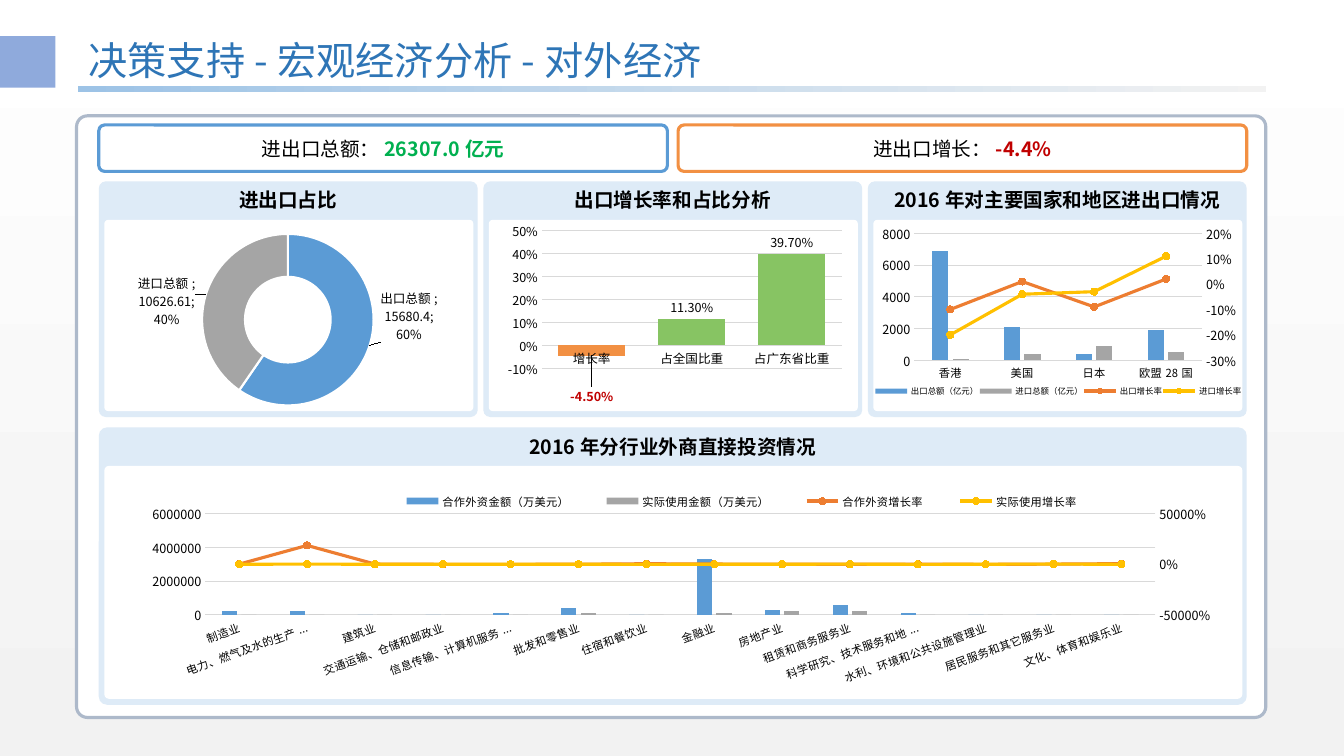
"""Build the foreign-trade dashboard slide."""
from dataclasses import dataclass
from typing import Any, NamedTuple, Optional

import pptx
import pptx.chart.axis
import pptx.chart.data
import pptx.dml.color
import pptx.enum.chart
import pptx.enum.shapes
import pptx.enum.text
import pptx.oxml
import pptx.oxml.ns
import pptx.util

Cm, Pt = pptx.util.Cm, pptx.util.Pt
NS = pptx.oxml.ns.nsdecls("c")
CHART_TYPES = pptx.enum.chart.XL_CHART_TYPE


@dataclass(frozen=True)
class Theme:
    font: str = "Noto Sans CJK SC"
    black: str = "000000"
    white: str = "FFFFFF"
    title: str = "2E75B6"
    accent: str = "8FAADC"
    rule: str = "9DC3E6"
    pale: str = "F2F2F2"
    frame: str = "ADB9CA"
    panel: str = "DEEBF7"
    blue: str = "5B9BD5"
    gray: str = "A5A5A5"
    orange: str = "F29043"
    green: str = "87C463"
    rate: str = "ED7D31"
    gold: str = "FFC000"
    grid: str = "D9D9D9"
    gain: str = "00B050"
    loss: str = "C00000"
    title_size: float = 28
    heading_size: float = 14
    chart_size: float = 10
    axis_size: float = 9
    category_size: float = 8
    small_size: float = 6


THEME = Theme()


class Box(NamedTuple):
    left: float
    top: float
    width: float
    height: float


class Metric(NamedTuple):
    label: str
    value: str
    outline: str
    value_color: str


class Panel(NamedTuple):
    heading: str
    box: Box


class Scale(NamedTuple):
    low: float
    high: float
    step: float
    pattern: str = "General"


class Series(NamedTuple):
    name: str
    values: list[float]


class ComboChart(NamedTuple):
    box: Box
    categories: list[str]
    series: list[Series]
    amounts: Scale
    rates: Scale
    plot: Box
    legend: Box
    legend_size: float
    label_angle: int


METRICS = [Metric("进出口总额：", "26307.0亿元", THEME.blue, THEME.gain),
           Metric("进出口增长：", "-4.4%", THEME.orange, THEME.loss)]
TOP_HEADINGS = ["进出口占比", "出口增长率和占比分析", "2016年对主要国家和地区进出口情况"]
PANELS = [Panel(heading, Box(2.49 + 9.69 * column, 4.57, 9.55, 5.94))
          for column, heading in enumerate(TOP_HEADINGS)]
PANELS.append(Panel("2016年分行业外商直接投资情况", Box(2.49, 10.77, 28.93, 6.99)))
COMBOS = [
    ComboChart(Box(22.02, 5.54, 9.3, 4.85), ["香港", "美国", "日本", "欧盟28国"],
               [Series("出口总额（亿元）", [6900, 2100, 400, 1900]),
                Series("进口总额（亿元）", [100, 400, 900, 500]),
                Series("出口增长率", [-0.1, 0.01, -0.09, 0.02]),
                Series("进口增长率", [-0.2, -0.04, -0.03, 0.11])],
               Scale(0, 8000, 2000), Scale(-0.3, 0.2, 0.1, "0%"),
               Box(0.11, 0.07, 0.78, 0.66), Box(0, 0.85, 1, 0.08), THEME.small_size, 0),
    ComboChart(Box(2.92, 11.73, 28.17, 5.79),
               ["制造业", "电力、燃气及水的生产和供应业", "建筑业", "交通运输、仓储和邮政业",
                "信息传输、计算机服务和软件业", "批发和零售业", "住宿和餐饮业", "金融业", "房地产业",
                "租赁和商务服务业", "科学研究、技术服务和地质勘查业", "水利、环境和公共设施管理业",
                "居民服务和其它服务业", "文化、体育和娱乐业"],
               [Series("合作外资金额（万美元）", [200000, 200000, 0, 0, 100000, 400000, 0, 3300000,
                                        300000, 600000, 100000, 0, 0, 0]),
                Series("实际使用金额（万美元）", [0, 0, 0, 0, 0, 100000, 0, 100000,
                                        200000, 200000, 0, 0, 0, 0]),
                Series("合作外资增长率", [1, 186, 2, -1, -1, 0, 5, 2, 0, 0, 1, -1, 1, 6]),
                Series("实际使用增长率", [0, 1, 0, 0, 0, 0, -1, 0, 0, 1, -1, 0, 2, -1])],
               Scale(0, 6000000, 2000000), Scale(-500, 500, 500, "0%"),
               Box(0.08, 0.21, 0.85, 0.44), Box(0.23, 0.11, 0.66, 0.09), THEME.category_size, -20),
]


def rgb(color: str) -> pptx.dml.color.RGBColor:
    return pptx.dml.color.RGBColor.from_string(color)


def paint(fill: Any, color: str) -> None:
    fill.solid()
    fill.fore_color.rgb = rgb(color)


def paint_gradient(fill: Any, colors: tuple[str, str], angle: float) -> None:
    fill.gradient()
    fill.gradient_angle = angle
    for stop, color in zip(fill.gradient_stops, colors):
        stop.color.rgb = rgb(color)


def style_font(font: Any, size: float, color: str = THEME.black, bold: bool = False) -> None:
    font.name, font.size, font.bold = THEME.font, Pt(size), bold
    font.color.rgb = rgb(color)


def write(paragraph: Any, text: str, *, size: float = THEME.heading_size,
          color: str = THEME.black, bold: bool = False) -> None:
    run = paragraph.add_run()
    run.text = text
    style_font(run.font, size, color, bold)


def set_east_asian_font(root: Any) -> None:
    for latin in root.xpath(".//a:latin"):
        latin.addnext(pptx.oxml.parse_xml(
            f'<a:ea {pptx.oxml.ns.nsdecls("a")} typeface="{THEME.font}"/>'))


def add_block(slide: Any, box: Box, fill: str, outline: Optional[str] = None,
              rounding: Optional[float] = None) -> Any:
    kinds = pptx.enum.shapes.MSO_SHAPE
    kind = kinds.RECTANGLE if rounding is None else kinds.ROUNDED_RECTANGLE
    block = slide.shapes.add_shape(kind, *map(Cm, box))
    block.shadow.inherit = False
    paint(block.fill, fill)
    if rounding is not None:
        block.adjustments[0] = rounding
    if outline:
        block.line.color.rgb, block.line.width = rgb(outline), Pt(2.25)
    else:
        block.line.fill.background()
    block.text_frame.paragraphs[0].alignment = pptx.enum.text.PP_ALIGN.CENTER
    return block


def layout_xml(**sizes: Any) -> str:
    parts = "".join(f'<c:{name} val="{value}"/>' for name, value in sizes.items())
    return f"<c:manualLayout>{parts}</c:manualLayout>"


def set_layout(parent: Any, index: int, box: Box) -> None:
    for old in parent.xpath("c:layout"):
        parent.remove(old)
    target = {"layoutTarget": "inner"} if index == 0 else {}
    manual = layout_xml(**target, xMode="edge", yMode="edge",
                        x=box.left, y=box.top, w=box.width, h=box.height)
    parent.insert(index, pptx.oxml.parse_xml(f"<c:layout {NS}>{manual}</c:layout>"))


def move_label(label: Any, x: float, y: float) -> None:
    label.insert(1, pptx.oxml.parse_xml(f"<c:layout {NS}>{layout_xml(x=x, y=y)}</c:layout>"))


def add_chart(slide: Any, kind: Any, box: Box, plot: Box, categories: list[str],
              series: list[Series], pattern: str = "General") -> Any:
    table = pptx.chart.data.CategoryChartData(number_format=pattern)
    table.categories = categories
    for item in series:
        table.add_series(item.name, item.values)
    chart = slide.shapes.add_chart(kind, *map(Cm, box), table).chart
    chart.has_title = chart.has_legend = False
    style_font(chart.font, THEME.chart_size)
    chart.plots[0].vary_by_categories = False
    set_layout(chart.element.xpath(".//c:plotArea")[0], 0, plot)
    return chart


def style_value_axis(axis: Any, scale: Scale, grid: bool) -> None:
    axis.minimum_scale, axis.maximum_scale, axis.major_unit = scale[:3]
    axis.major_tick_mark = axis.minor_tick_mark = pptx.enum.chart.XL_TICK_MARK.NONE
    axis.tick_labels.number_format = scale.pattern
    axis.tick_labels.number_format_is_linked = False
    style_font(axis.tick_labels.font, THEME.axis_size)
    axis.format.line.fill.background()
    axis.has_major_gridlines = grid
    if grid:
        line = axis.major_gridlines.format.line
        line.color.rgb, line.width = rgb(THEME.grid), Pt(0.75)


def style_category_axis(axis: Any, size: float) -> None:
    axis.major_tick_mark = axis.minor_tick_mark = pptx.enum.chart.XL_TICK_MARK.NONE
    style_font(axis.tick_labels.font, size)
    axis.format.line.color.rgb, axis.format.line.width = rgb(THEME.grid), Pt(0.75)


def add_share_chart(slide: Any) -> None:
    chart = add_chart(slide, CHART_TYPES.DOUGHNUT, Box(2.64, 4.67, 9.42, 5.84),
                      Box(0.23, 0.21, 0.52, 0.74), ["出口总额", "进口总额"],
                      [Series("Series 1", [15680.4, 10626.61])])
    shares = chart.plots[0].series[0]
    labels = shares.data_labels
    labels.show_value = labels.show_percentage = labels.show_category_name = True
    style_font(labels.font, THEME.axis_size)
    for index, color in enumerate((THEME.blue, THEME.gray)):
        point = shares.points[index]
        paint(point.format.fill, color)
        point.format.line.color.rgb, point.format.line.width = rgb(THEME.white), Pt(1.5)
        style_font(point.data_label.font, THEME.axis_size)
    size = layout_xml(w=0.17, h=0.25)
    for label, offset in zip(chart.element.xpath(".//c:dLbl"), ((0.16, -0.1), (-0.16, 0))):
        move_label(label, *offset)
        for flag in label.xpath("c:showVal|c:showCatName|c:showPercent"):
            flag.set("val", "1")
        label.append(pptx.oxml.parse_xml(f"<c:separator {NS}>; </c:separator>"))
        label.append(pptx.oxml.parse_xml(
            f'<c:extLst {NS}><c:ext uri="{{CE6537A1-D6FC-4f65-9D91-7224C49458BB}}" '
            'xmlns:c15="http://schemas.microsoft.com/office/drawing/2012/chart">'
            f"<c15:layout>{size}</c15:layout></c:ext></c:extLst>"))
    set_east_asian_font(chart.element)


def add_growth_chart(slide: Any) -> None:
    chart = add_chart(slide, CHART_TYPES.COLUMN_CLUSTERED, Box(12.6, 5.54, 8.79, 4.65),
                      Box(0.12, 0.06, 0.86, 0.76), ["增长率", "占全国比重", "占广东省比重"],
                      [Series("Series 1", [-0.045, 0.113, 0.397])], "0.00%")
    style_value_axis(chart.value_axis, Scale(-0.1, 0.5, 0.1, "0%"), True)
    style_category_axis(chart.category_axis, THEME.axis_size)
    chart.plots[0].gap_width, chart.plots[0].overlap = 50, -27
    growth = chart.plots[0].series[0]
    growth.invert_if_negative = False
    paint(growth.format.fill, THEME.orange)
    for index in (1, 2):
        paint(growth.points[index].format.fill, THEME.green)
    outside = pptx.enum.chart.XL_LABEL_POSITION.OUTSIDE_END
    labels, decline = growth.data_labels, growth.points[0].data_label
    labels.show_value = True
    labels.number_format, labels.number_format_is_linked = "0.00%", False
    labels.position = decline.position = outside
    style_font(labels.font, THEME.axis_size)
    style_font(decline.font, THEME.axis_size, THEME.loss, True)
    move_label(chart.element.xpath(".//c:dLbl")[0], 0, 0.15)
    set_east_asian_font(chart.element)


def add_rate_plot(chart: Any) -> Any:
    """Move the last two series to lines and return their right-hand axis."""
    bars = chart.element.xpath(".//c:barChart")[0]
    lines = pptx.oxml.parse_xml(
        f'<c:lineChart {NS}><c:grouping val="standard"/><c:varyColors val="0"/>'
        '<c:marker val="1"/><c:axId val="5001"/><c:axId val="5002"/></c:lineChart>')
    for index, rate in enumerate(bars.xpath("c:ser")[2:]):
        for invert in rate.xpath("c:invertIfNegative"):
            rate.remove(invert)
        lines.insert(2 + index, rate)
    bars.addnext(lines)
    anchor = chart.element.xpath(".//c:plotArea/c:valAx")[-1]
    for tag, own, other, hidden, side, cross in (("catAx", 5001, 5002, 1, "b", "autoZero"),
                                                 ("valAx", 5002, 5001, 0, "r", "max")):
        axis = pptx.oxml.parse_xml(
            f'<c:{tag} {NS}><c:axId val="{own}"/><c:scaling><c:orientation val="minMax"/></c:scaling>'
            f'<c:delete val="{hidden}"/><c:axPos val="{side}"/><c:tickLblPos val="nextTo"/>'
            f'<c:crossAx val="{other}"/><c:crosses val="{cross}"/></c:{tag}>')
        anchor.addnext(axis)
        anchor = axis
    return pptx.chart.axis.ValueAxis(anchor)


def add_combo_chart(slide: Any, combo: ComboChart) -> None:
    chart = add_chart(slide, CHART_TYPES.COLUMN_CLUSTERED, combo.box, combo.plot,
                      combo.categories, combo.series)
    style_value_axis(chart.value_axis, combo.amounts, True)
    style_category_axis(chart.category_axis, THEME.category_size)
    if combo.label_angle:
        body = chart.element.xpath(".//c:catAx/c:txPr/a:bodyPr")[0]
        body.set("rot", str(combo.label_angle * 60000))
    style_value_axis(add_rate_plot(chart), combo.rates, False)
    amounts, rates = chart.plots
    amounts.gap_width, amounts.overlap = 219, -27
    for amount, color in zip(amounts.series, (THEME.blue, THEME.gray)):
        paint(amount.format.fill, color)
    for rate, color in zip(rates.series, (THEME.rate, THEME.gold)):
        rate.smooth = False
        rate.format.line.color.rgb, rate.format.line.width = rgb(color), Pt(2.25)
        rate.marker.style, rate.marker.size = pptx.enum.chart.XL_MARKER_STYLE.CIRCLE, 5
        paint(rate.marker.format.fill, color)
        rate.marker.format.line.color.rgb = rgb(color)
    chart.has_legend = True
    chart.legend.position = pptx.enum.chart.XL_LEGEND_POSITION.BOTTOM
    chart.legend.include_in_layout = False
    style_font(chart.legend.font, combo.legend_size)
    set_layout(chart.element.xpath(".//c:legend")[0], 1, combo.legend)
    set_east_asian_font(chart.element)


def add_title(slide: Any) -> None:
    title = slide.shapes.title
    title.left, title.top, title.width, title.height = map(Cm, (1.98, 0.91, 29.21, 1.35))
    title.text_frame.vertical_anchor = pptx.enum.text.MSO_ANCHOR.MIDDLE
    title.text_frame.auto_size = pptx.enum.text.MSO_AUTO_SIZE.SHAPE_TO_FIT_TEXT
    heading = title.text_frame.paragraphs[0]
    heading.alignment, heading.line_spacing = pptx.enum.text.PP_ALIGN.LEFT, 0.9
    write(heading, "决策支持-宏观经济分析-对外经济", size=THEME.title_size, color=THEME.title)


def main() -> None:
    deck = pptx.Presentation()
    deck.slide_width, deck.slide_height = Cm(33.87), Cm(19.05)
    slide = deck.slides.add_slide(deck.slide_layouts[5])
    paint_gradient(slide.background.fill, (THEME.white, THEME.pale), 270)
    add_title(slide)
    add_block(slide, Box(0, 0.91, 1.4, 1.3), THEME.accent)
    rule = add_block(slide, Box(1.96, 2.18, 29.95, 0.13), THEME.rule)
    paint_gradient(rule.fill, (THEME.rule, THEME.pale), 0)
    add_block(slide, Box(1.93, 2.92, 29.97, 15.16), THEME.white, THEME.frame, 0.018)
    for column, metric in enumerate(METRICS):
        card = add_block(slide, Box(2.49 + 14.6 * column, 3.15, 14.33, 1.17),
                         THEME.white, metric.outline, 0.128)
        card.text_frame.vertical_anchor = pptx.enum.text.MSO_ANCHOR.MIDDLE
        write(card.text_frame.paragraphs[0], metric.label)
        write(card.text_frame.paragraphs[0], metric.value, color=metric.value_color, bold=True)
    for heading, box in PANELS:
        panel = add_block(slide, box, THEME.panel, rounding=0.03)
        panel.text_frame.vertical_anchor = pptx.enum.text.MSO_ANCHOR.TOP
        write(panel.text_frame.paragraphs[0], heading, bold=True)
        add_block(slide, Box(box.left + 0.14, box.top + 0.97, box.width - 0.25, box.height - 1.12),
                  THEME.white, rounding=0.02)
    add_share_chart(slide)
    add_growth_chart(slide)
    for combo in COMBOS:
        add_combo_chart(slide, combo)
    set_east_asian_font(slide.element)
    deck.save("out.pptx")


if __name__ == "__main__":
    main()
